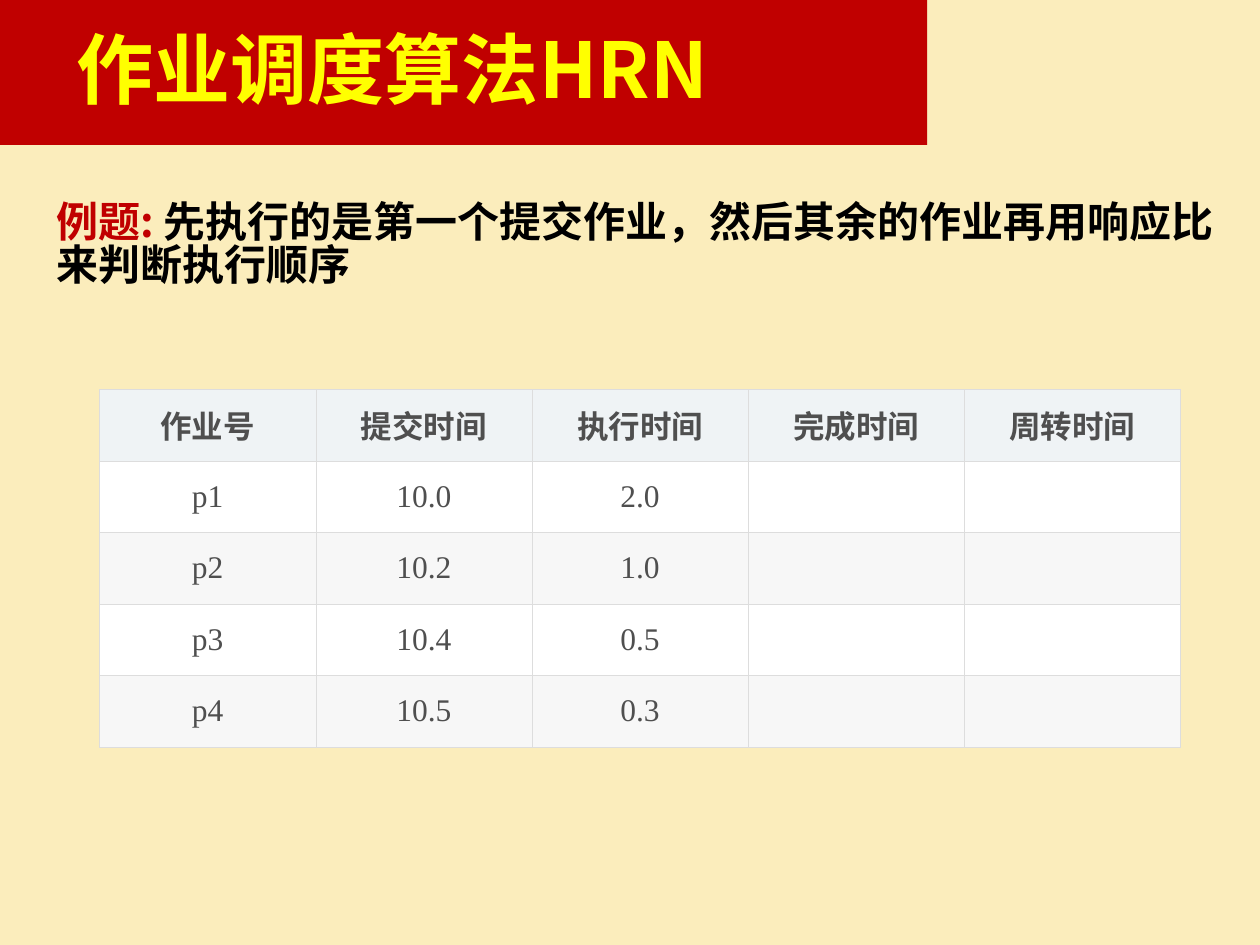
from dataclasses import dataclass

from lxml import etree
from pptx import Presentation
from pptx.dml.color import RGBColor
from pptx.enum.shapes import MSO_SHAPE
from pptx.enum.text import MSO_ANCHOR, PP_ALIGN
from pptx.oxml.ns import qn
from pptx.util import Inches, Pt

RECTANGLE = MSO_SHAPE.RECTANGLE
MIDDLE = MSO_ANCHOR.MIDDLE
LEFT, CENTER = PP_ALIGN.LEFT, PP_ALIGN.CENTER


@dataclass(frozen=True)
class Theme:
    """Colours, fonts and type sizes of the slide."""
    background: str = "FBEDBC"
    red: str = "C00000"
    yellow: str = "FFFF00"
    black: str = "000000"
    grey: str = "4F4F4F"
    header: str = "EFF3F5"
    bands: tuple = ("FFFFFF", "F7F7F7")
    border: str = "DDDDDD"
    sans: str = "Noto Sans CJK SC"
    serif: str = "Times New Roman"
    title_size: int = 44
    body_size: int = 24
    table_size: int = 18


THEME = Theme()
JOBS = [
    ("作业号", "提交时间", "执行时间", "完成时间", "周转时间"),
    ("p1", "10.0", "2.0", "", ""),
    ("p2", "10.2", "1.0", "", ""),
    ("p3", "10.4", "0.5", "", ""),
    ("p4", "10.5", "0.3", "", ""),
]


def apply(target, values):
    """Set each named attribute on the target."""
    for name, value in values.items():
        setattr(target, name, value)


def paint(fill, color):
    """Give a fill one solid colour."""
    fill.solid()
    fill.fore_color.rgb = RGBColor.from_string(color)


def add_run(paragraph, text, size, color, font=THEME.sans, bold=True):
    """Append a formatted run with an East Asian typeface."""
    run = paragraph.add_run()
    run.text = text
    apply(run.font, {"size": Pt(size), "name": font, "bold": bold})
    run.font.color.rgb = RGBColor.from_string(color)
    latin = run.font._element.find(qn("a:latin"))
    east_asian = etree.Element(qn("a:ea"), typeface=THEME.sans)
    latin.addnext(east_asian)


def add_band(slide):
    """Place the red band behind the title."""
    band = slide.shapes.add_shape(RECTANGLE, 0, 0, Inches(7.36), Inches(1.15))
    band.shadow.inherit = False
    paint(band.fill, THEME.red)
    band.line.fill.background()
    slide.shapes._spTree.insert(2, band._element)


def add_title(slide, text):
    """Move and fill the title placeholder."""
    title = slide.shapes.title
    apply(title, {"left": Inches(0.51), "top": Inches(0.21),
                  "width": Inches(6.22), "height": Inches(0.66)})
    apply(title.text_frame, {"vertical_anchor": MIDDLE, "word_wrap": True})
    paragraph = title.text_frame.paragraphs[0]
    paragraph.alignment = LEFT
    add_run(paragraph, text, THEME.title_size, THEME.yellow)


def add_example(slide, label, text):
    """Add the example statement with its coloured label."""
    example = slide.shapes.add_textbox(
        Inches(0.35), Inches(1.57), Inches(9.45), Inches(1.06))
    example.text_frame.word_wrap = True
    paragraph = example.text_frame.paragraphs[0]
    apply(paragraph, {"space_before": Pt(2), "line_spacing": 0.84})
    add_run(paragraph, label, THEME.body_size, THEME.red)
    add_run(paragraph, text, THEME.body_size, THEME.black)


def add_borders(cell):
    """Draw a hairline on all four sides of a cell."""
    properties = cell._tc.get_or_add_tcPr()
    for position, side in enumerate(("a:lnL", "a:lnR", "a:lnT", "a:lnB")):
        line = etree.Element(qn(side), w=str(Pt(0.28)))
        fill = etree.SubElement(line, qn("a:solidFill"))
        etree.SubElement(fill, qn("a:srgbClr"), val=THEME.border)
        properties.insert(position, line)


def fill_cell(cell, text, color, bold):
    """Format one table cell and write its text."""
    apply(cell, {"vertical_anchor": MIDDLE,
                 "margin_left": Inches(0.07), "margin_right": Inches(0.07),
                 "margin_top": Inches(0.05), "margin_bottom": Inches(0.05)})
    paint(cell.fill, color)
    add_borders(cell)
    paragraph = cell.text_frame.paragraphs[0]
    paragraph.alignment = CENTER
    if text:
        add_run(paragraph, text, THEME.table_size, THEME.grey, THEME.serif, bold)


def add_job_table(slide, jobs):
    """Add the job table with a header and alternating rows."""
    table = slide.shapes.add_table(
        len(jobs), len(jobs[0]), Inches(0.79), Inches(3.09),
        Inches(8.58), Inches(2.84)).table
    for row, job in enumerate(jobs):
        color = THEME.bands[(row - 1) % 2] if row else THEME.header
        for column, text in enumerate(job):
            fill_cell(table.cell(row, column), text, color, row == 0)


def main():
    """Build and save the slide."""
    deck = Presentation()
    apply(deck, {"slide_width": Inches(10), "slide_height": Inches(7.5)})
    slide = deck.slides.add_slide(deck.slide_layouts[5])
    paint(slide.background.fill, THEME.background)
    add_band(slide)
    add_title(slide, "作业调度算法HRN")
    add_job_table(slide, JOBS)
    add_example(slide, "例题: ", "先执行的是第一个提交作业，然后其余的作业再用响应比来判断执行顺序")
    deck.save("out.pptx")


main()
